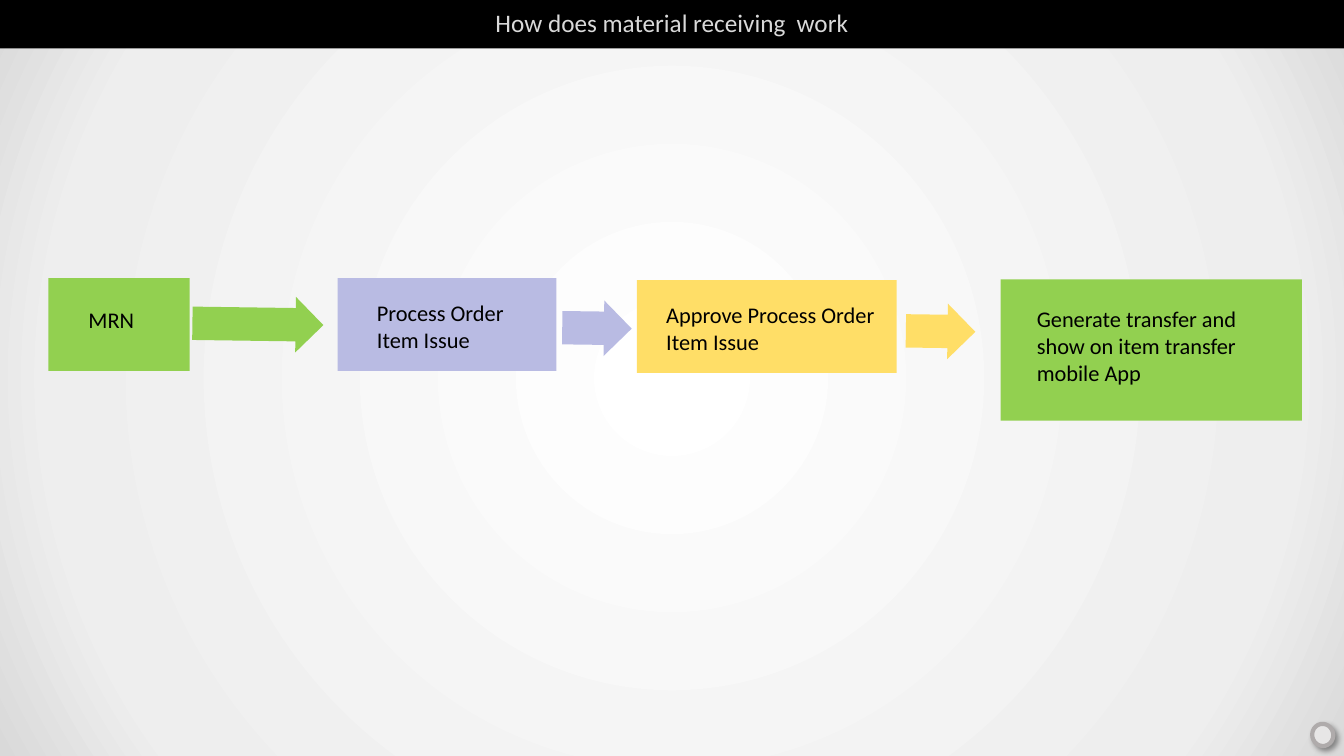
from lxml import etree
from pptx import Presentation
from pptx import util as u
from pptx.dml.color import RGBColor
from pptx.enum import shapes, text
from pptx.oxml import parse_xml
from pptx.oxml.ns import nsdecls, qn

COLORS = {
    "black": "000000", "white": "FFFFFF", "title": "D9D9D9",
    "mist": "EEEEEE", "edge": "D9D9D9",
    "green": "92D050", "lilac": "B9BBE3", "yellow": "FFDE67",
    "ring_fill": "E7E6E6", "ring_line": "AFABAB",
}

# Fill, box, label frame, label paragraphs, whether the label wraps
STEPS = [
    ("green", (1.22, 7.01, 3.56, 2.34), (1.98, 7.59, 1.68, 0.94),
     ["MRN"], False),
    ("lilac", (8.51, 7.01, 5.51, 2.34), (9.25, 7.42, 4.01, 1.63),
     ["Process Order", "Item Issue"], False),
    ("yellow", (16.05, 7.06, 6.55, 2.34), (16.54, 7.47, 6.3, 1.63),
     ["Approve Process Order", "Item Issue"], True),
    ("green", (25.22, 7.04, 7.59, 3.56), (25.88, 7.57, 6.3, 2.31),
     ["Generate transfer and show on item transfer mobile App"], True),
]

# Fill, left, top, width of the arrow after each step
ARROWS = [("green", 4.85, 7.47, 3.3), ("lilac", 14.17, 7.57, 1.75),
          ("yellow", 22.83, 7.65, 1.75)]
ARROW_HEIGHT = 1.4


def color(name):
    return RGBColor.from_string(COLORS[name])


class FlowSlide:
    font = "Calibri"
    label_size = 16

    def __init__(self, presentation):
        self.slide = presentation.slides.add_slide(presentation.slide_layouts[6])

    def background(self, stops):
        """Circular gradient spreading from the centre."""
        stop_xml = "".join(
            f'<a:gs pos="{percent * 1000}"><a:srgbClr val="{COLORS[name]}"/></a:gs>'
            for percent, name in stops)
        self.slide._element.cSld.insert(0, parse_xml(
            f'<p:bg {nsdecls("p", "a")}><p:bgPr><a:gradFill rotWithShape="1">'
            f'<a:gsLst>{stop_xml}</a:gsLst><a:path path="circle">'
            '<a:fillToRect l="50000" t="50000" r="50000" b="50000"/></a:path>'
            '</a:gradFill><a:effectLst/></p:bgPr></p:bg>'))

    def shape(self, kind, frame, fill, rotation=0):
        shape = self.slide.shapes.add_shape(kind, *map(u.Cm, frame))
        shape.shadow.inherit = False
        shape.fill.solid()
        shape.fill.fore_color.rgb = color(fill)
        shape.line.fill.background()
        shape.rotation = rotation
        return shape

    def box(self, frame, fill):
        return self.shape(shapes.MSO_SHAPE.RECTANGLE, frame, fill)

    def arrow(self, frame, fill):
        arrow = self.shape(shapes.MSO_SHAPE.RIGHT_ARROW, frame, fill, 0.8)
        arrow.adjustments[0] = 0.6
        arrow.adjustments[1] = 0.5

    def ring(self, frame):
        ring = self.shape(shapes.MSO_SHAPE.OVAL, frame, "ring_fill", 348.9)
        ring.line.color.rgb = color("ring_line")
        ring.line.width = u.Pt(3)
        effects = ring._element.spPr.find(qn("a:effectLst"))
        shadow = etree.SubElement(
            effects, qn("a:outerShdw"), blurRad=str(u.Pt(4)), dist=str(u.Pt(3)),
            dir=str(45 * 60000), algn="tl", rotWithShape="0")
        tint = etree.SubElement(shadow, qn("a:srgbClr"), val=COLORS["black"])
        etree.SubElement(tint, qn("a:alpha"), val="40000")

    def paragraphs(self, frame, lines, size, ink, align):
        for index, line in enumerate(lines):
            paragraph = frame.add_paragraph() if index else frame.paragraphs[0]
            paragraph.alignment = align
            run = paragraph.add_run()
            run.text = line
            for name, value in {"name": self.font, "size": u.Pt(size)}.items():
                setattr(run.font, name, value)
            run.font.color.rgb = color(ink)

    def banner(self, frame, title):
        banner = self.box(frame, "black")
        banner.text_frame.vertical_anchor = text.MSO_ANCHOR.MIDDLE
        self.paragraphs(banner.text_frame, [title], 18, "title",
                        text.PP_ALIGN.CENTER)

    def label(self, frame, lines, wrap):
        label = self.slide.shapes.add_textbox(*map(u.Cm, frame)).text_frame
        settings = {"word_wrap": wrap,
                    "auto_size": text.MSO_AUTO_SIZE.SHAPE_TO_FIT_TEXT}
        for name, value in settings.items():
            setattr(label, name, value)
        self.paragraphs(label, lines, self.label_size, "black",
                        text.PP_ALIGN.LEFT)


def main():
    presentation = Presentation()
    presentation.slide_width = u.Cm(33.87)
    presentation.slide_height = u.Cm(19.05)
    flow = FlowSlide(presentation)

    # Backdrop, title bar and corner ring
    flow.background([(0, "white"), (81, "mist"), (100, "edge")])
    flow.banner((0, -0.08, 33.87, 1.3), "How does material receiving  work")
    flow.ring((33.07, 18.24, 0.53, 0.56))

    # Steps of the process
    for fill, box, label, lines, wrap in STEPS:
        flow.box(box, fill)
        flow.label(label, lines, wrap)

    # Arrows between the steps
    for fill, left, top, width in ARROWS:
        flow.arrow((left, top, width, ARROW_HEIGHT), fill)

    presentation.save("out.pptx")


if __name__ == "__main__":
    main()
